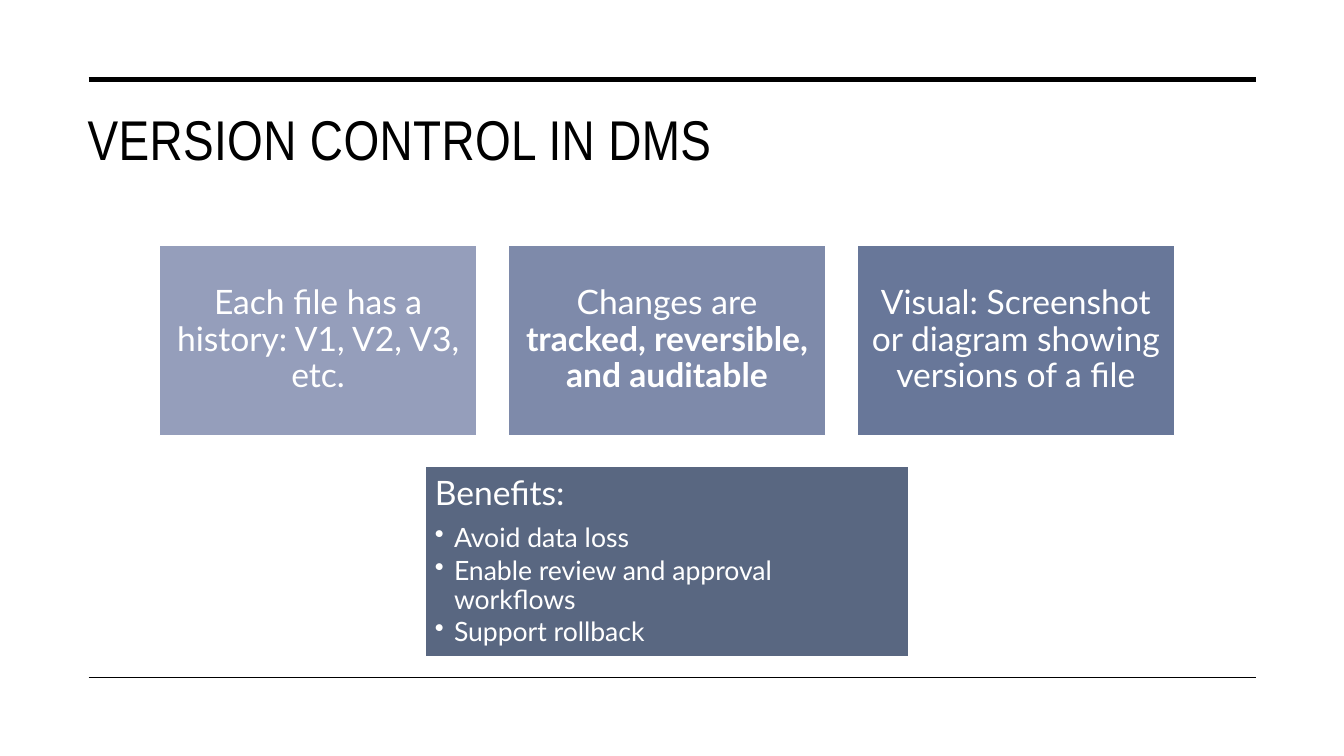
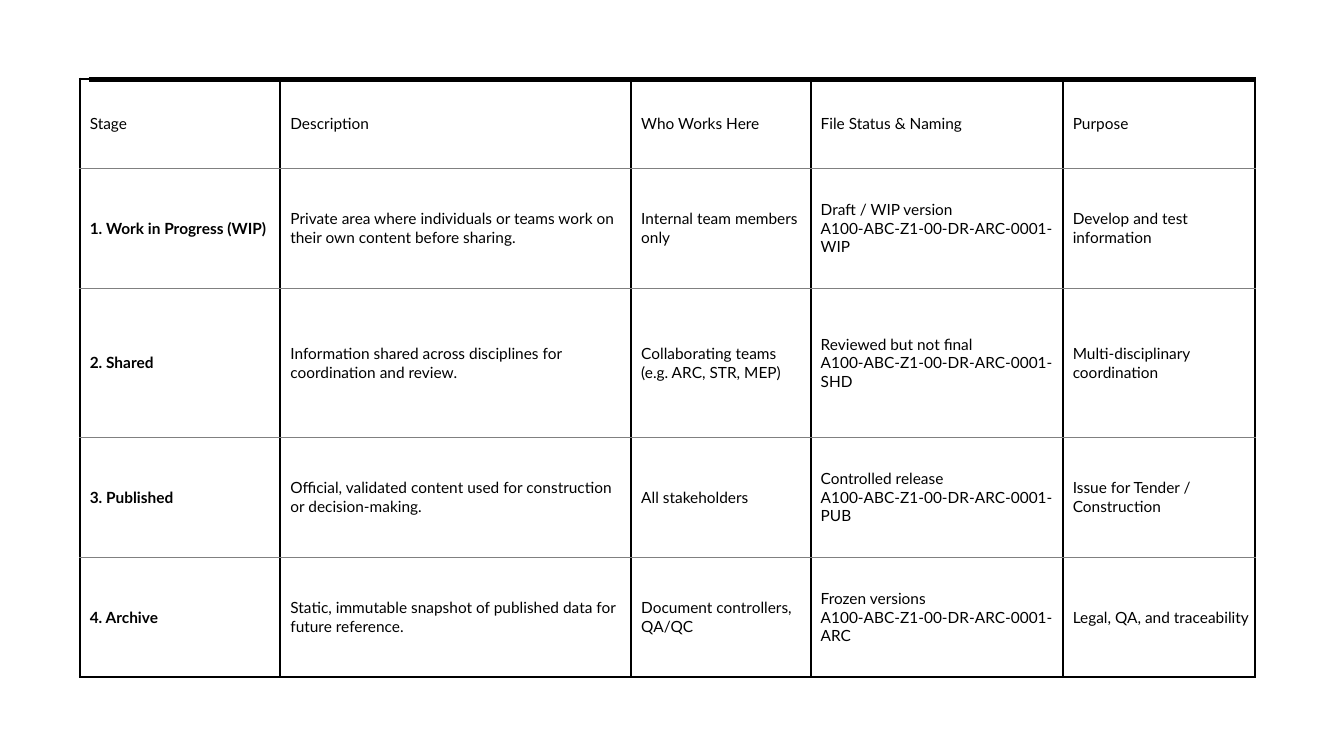
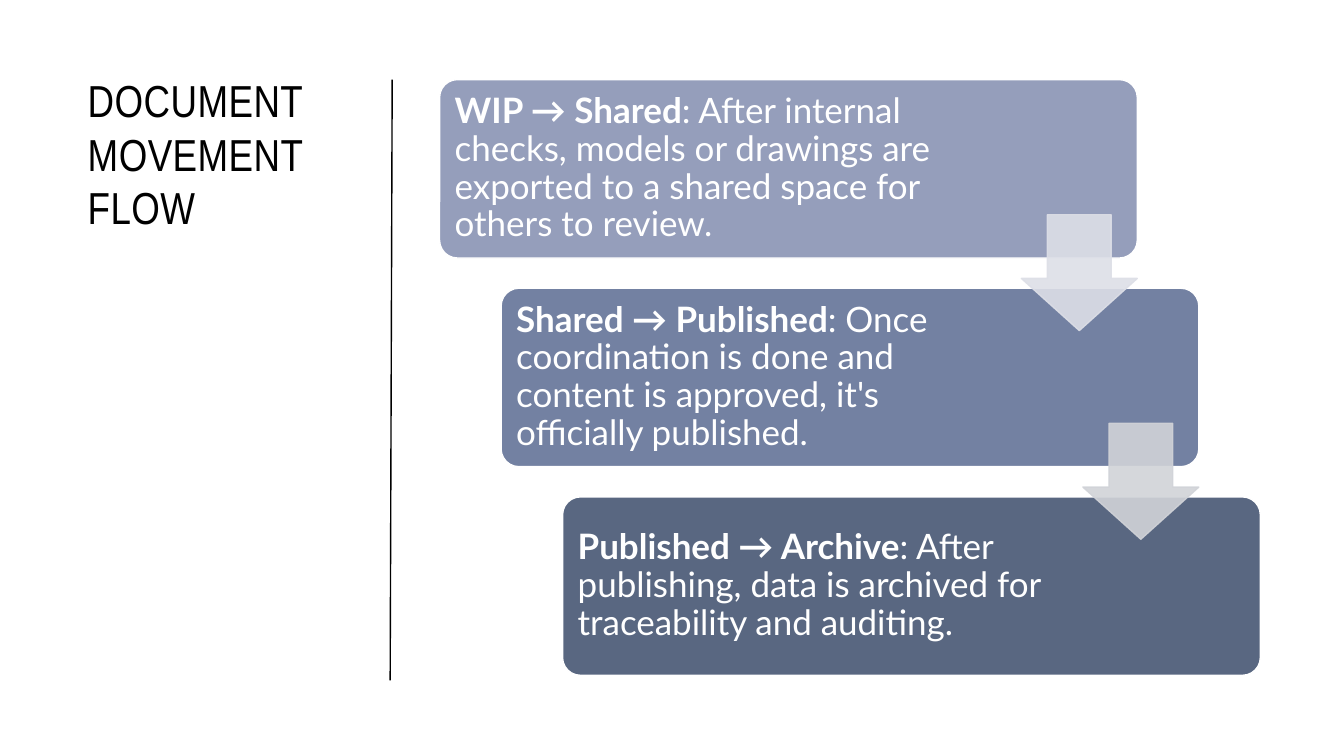
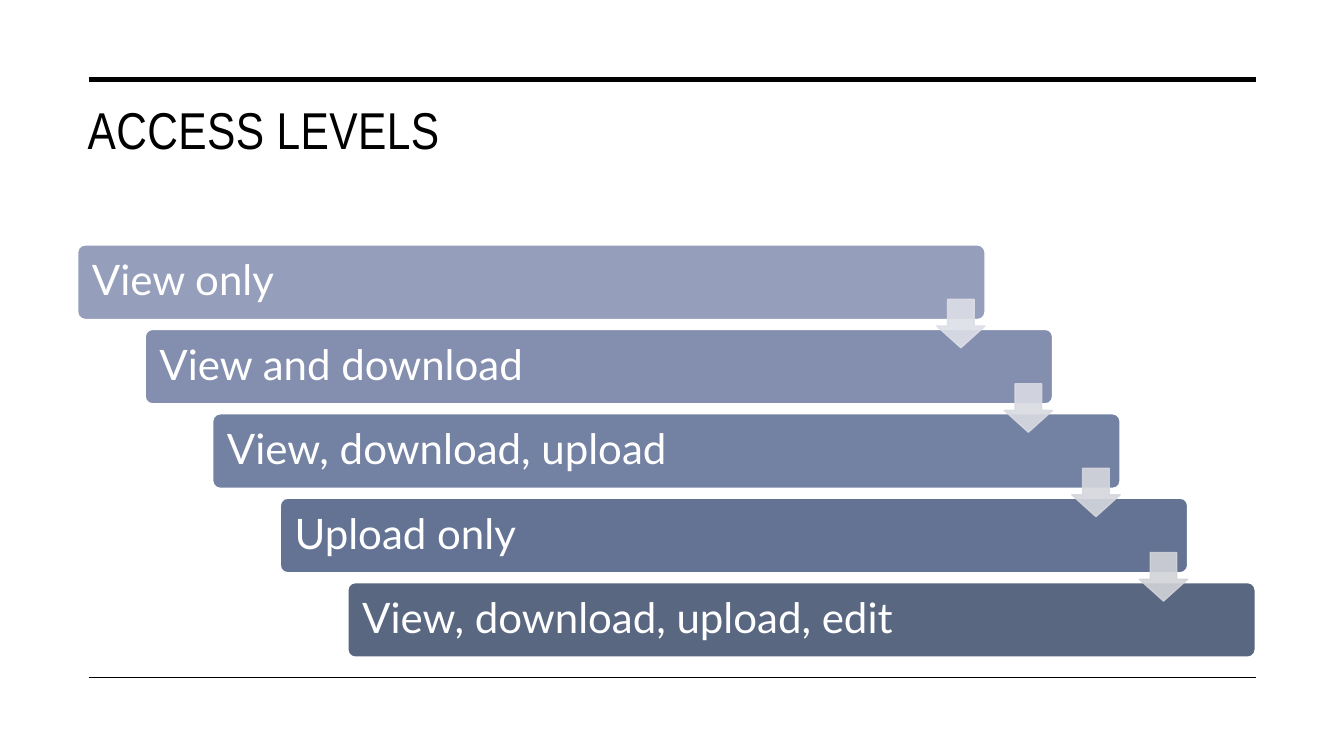
from lxml import etree
from pptx import Presentation
from pptx.dml.color import RGBColor
from pptx.enum.shapes import MSO_CONNECTOR, MSO_SHAPE
from pptx.enum.text import MSO_ANCHOR, MSO_AUTO_SIZE, PP_ALIGN
from pptx.oxml.ns import qn
from pptx.util import Inches, Pt

COLORS = {
    "ink": "000000",
    "paper": "FFFFFF",
    "rule": "808080",
    "mist": "959EBB",
    "haze": "848FAF",
    "steel": "7E8AAA",
    "blue": "7381A2",
    "slate": "687799",
    "denim": "647394",
    "deep": "596781",
    "arrow1": "DDDFE7",
    "arrow2": "D9DBE2",
    "arrow3": "D5D7DD",
    "arrow4": "D1D3D8",
}
TITLE_FONT = "Arial Narrow"
BODY_FONT = "Lato"
LEFT, RIGHT, TOP, BOTTOM = 0.88, 12.46, 0.79, 6.72
TITLE_BOX = (0.77, 0.99, 11.69, 1.26)
TITLE_ONLY, BLANK = 5, 6

STAGES = [
    ["Stage", "Description", "Who Works Here", "File Status & Naming", "Purpose"],
    ["1. Work in Progress (WIP)",
     "Private area where individuals or teams work on their own content before sharing.",
     "Internal team members only",
     "Draft / WIP version\nA100-ABC-Z1-00-DR-ARC-0001-WIP",
     "Develop and test information"],
    ["2. Shared",
     "Information shared across disciplines for coordination and review.",
     "Collaborating teams (e.g. ARC, STR, MEP)",
     "Reviewed but not final\nA100-ABC-Z1-00-DR-ARC-0001-SHD",
     "Multi-disciplinary coordination"],
    ["3. Published",
     "Official, validated content used for construction or decision-making.",
     "All stakeholders",
     "Controlled release\nA100-ABC-Z1-00-DR-ARC-0001-PUB",
     "Issue for Tender / Construction"],
    ["4. Archive",
     "Static, immutable snapshot of published data for future reference.",
     "Document controllers, QA/QC",
     "Frozen versions\nA100-ABC-Z1-00-DR-ARC-0001-ARC",
     "Legal, QA, and traceability"],
]


def rgb(name):
    return RGBColor.from_string(COLORS[name])


def inches(*values):
    return [Inches(v) for v in values]


def set_font(p, size, color, name=BODY_FONT):
    p.font.name = name
    p.font.size = Pt(size)
    p.font.color.rgb = rgb(color)


def add_line(s, x1, y1, x2, y2, width):
    line = s.shapes.add_connector(MSO_CONNECTOR.STRAIGHT, *inches(x1, y1, x2, y2))
    line.line.color.rgb = rgb("ink")
    line.line.width = Pt(width)
    etree.SubElement(line._element.spPr, qn("a:effectLst"))


def add_rules(s):
    add_line(s, LEFT, TOP, RIGHT, TOP, 3.5)
    add_line(s, LEFT, BOTTOM, RIGHT, BOTTOM, 1)


def set_title(s, text, size, box=TITLE_BOX, spacing=1.0):
    title = s.shapes.title
    title.left, title.top, title.width, title.height = inches(*box)
    tf = title.text_frame
    tf.word_wrap = True
    tf.auto_size = MSO_AUTO_SIZE.NONE
    tf.vertical_anchor = MSO_ANCHOR.TOP
    p = tf.paragraphs[0]
    p.alignment = PP_ALIGN.LEFT
    p.line_spacing = spacing
    set_font(p, size, "ink", TITLE_FONT)
    r = p.add_run()
    r.text = text
    r._r.get_or_add_rPr().set("spc", "30")


def add_shape(s, kind, box, fill, line, adjustments=()):
    sp = s.shapes.add_shape(kind, *inches(*box))
    sp.shadow.inherit = False
    sp.fill.solid()
    sp.fill.fore_color.rgb = rgb(fill)
    sp.line.color.rgb = rgb(line)
    sp.line.width = Pt(1)
    for i, value in enumerate(adjustments):
        sp.adjustments[i] = value
    return sp


def write_runs(p, runs, size, align=PP_ALIGN.LEFT, after=0):
    p.alignment = align
    p.line_spacing = 0.9
    p.space_after = Pt(after)
    set_font(p, size, "paper")
    for text, bold in runs:
        r = p.add_run()
        r.text = text
        r.font.bold = bold


def add_card(s, kind, box, fill, inset, right=None, adjustments=()):
    sp = add_shape(s, kind, box, fill, "paper", adjustments)
    tf = sp.text_frame
    tf.word_wrap = True
    tf.vertical_anchor = MSO_ANCHOR.MIDDLE
    tf.margin_left = tf.margin_top = tf.margin_bottom = Inches(inset)
    tf.margin_right = Inches(right or inset)
    return tf


def add_bullet(p):
    pPr = p._p.get_or_add_pPr()
    pPr.set("marL", str(Inches(0.19)))
    pPr.set("indent", str(-Inches(0.19)))
    bullet = etree.Element(qn("a:buChar"), char="•")
    defaults = pPr.find(qn("a:defRPr"))
    defaults.addprevious(bullet)


def add_arrow(s, x, y, size, color):
    sp = add_shape(s, MSO_SHAPE.DOWN_ARROW, (x, y, size, size), color, color, (0.55, 0.45))
    for clr in sp._element.spPr.iter(qn("a:srgbClr")):
        etree.SubElement(clr, qn("a:alpha"), val="90000")


def add_staircase(s, area, card, steps, arrows, size, inset, right, arrow_size, drop):
    x, y, width, height = area
    card_w, card_h = card
    dx = (width - card_w) / (len(steps) - 1)
    dy = (height - card_h) / (len(steps) - 1)
    for i, (runs, fill) in enumerate(steps):
        box = (x + i * dx, y + i * dy, card_w, card_h)
        tf = add_card(s, MSO_SHAPE.ROUNDED_RECTANGLE, box, fill, inset, right, (0.1,))
        write_runs(tf.paragraphs[0], runs, size)
    for i, color in enumerate(arrows):
        add_arrow(s, x + i * dx + card_w - arrow_size, y + i * dy + drop, arrow_size, color)


def set_borders(cell, first, last):
    outer, inner = ("ink", 1.5), ("rule", 0.5)
    edges = {"lnL": outer, "lnR": outer,
             "lnT": outer if first else inner,
             "lnB": outer if last else inner}
    tcPr = cell._tc.get_or_add_tcPr()
    for i, (tag, (color, width)) in enumerate(edges.items()):
        ln = etree.Element(qn("a:" + tag), w=str(Pt(width)))
        fill = etree.SubElement(ln, qn("a:solidFill"))
        etree.SubElement(fill, qn("a:srgbClr"), val=COLORS[color])
        tcPr.insert(i, ln)


def add_grid(s, x, y, cols, rows, data):
    frame = s.shapes.add_table(len(rows), len(cols), *inches(x, y, sum(cols), sum(rows)))
    table = frame.table
    table.first_row = table.horz_banding = False
    for col, width in zip(table.columns, cols):
        col.width = Inches(width)
    for i, (row, height) in enumerate(zip(table.rows, rows)):
        row.height = Inches(height)
        for j, text in enumerate(data[i]):
            cell = table.cell(i, j)
            cell.fill.background()
            cell.vertical_anchor = MSO_ANCHOR.MIDDLE
            cell.margin_left, cell.margin_right = inches(0.1, 0.03)
            cell.margin_top = cell.margin_bottom = Inches(0.08)
            set_borders(cell, i == 0, i == len(rows) - 1)
            p = cell.text_frame.paragraphs[0]
            p.text = text
            set_font(p, 11, "ink")
            p.font.bold = i > 0 and j == 0


def version_slide(s):
    set_title(s, "VERSION CONTROL IN DMS", 40)
    add_rules(s)
    x, y, width, height, gap = 1.58, 2.43, 3.15, 1.89, 0.31
    cards = [
        ([("Each file has a history: V1, V2, V3, etc.", False)], "mist"),
        ([("Changes are ", False), ("tracked, reversible, and auditable", True)], "steel"),
        ([("Visual: Screenshot or diagram showing versions of a file", False)], "slate"),
    ]
    for i, (runs, fill) in enumerate(cards):
        box = (x + i * (width + gap), y, width, height)
        tf = add_card(s, MSO_SHAPE.RECTANGLE, box, fill, 0.1)
        write_runs(tf.paragraphs[0], runs, 24, PP_ALIGN.CENTER)

    benefits_w = 4.8
    center = x + (3 * width + 2 * gap) / 2
    box = (center - benefits_w / 2, y + height + gap, benefits_w, height)
    tf = add_card(s, MSO_SHAPE.RECTANGLE, box, "deep", 0.1)
    tf.vertical_anchor = MSO_ANCHOR.TOP
    write_runs(tf.paragraphs[0], [("Benefits:", False)], 24, after=8.4)
    for text in ("Avoid data loss", "Enable review and approval workflows", "Support rollback"):
        p = tf.add_paragraph()
        write_runs(p, [(text, False)], 19, after=2.8)
        add_bullet(p)


def stages_slide(s):
    add_rules(s)
    add_grid(s, 0.79, 0.78, [1.99, 3.48, 1.78, 2.5, 1.91],
             [0.89, 1.19, 1.48, 1.19, 1.19], STAGES)


def flow_slide(s):
    set_title(s, "DOCUMENT MOVEMENT FLOW", 32, (0.77, 0.67, 2.76, 4.91))
    add_line(s, 3.87, 6.75, 3.89, TOP, 1)
    moves = [
        ("WIP → Shared", ": After internal checks, models or drawings are exported "
         "to a shared space for others to review.", "mist"),
        ("Shared → Published", ": Once coordination is done and content is approved, "
         "it's officially published.", "blue"),
        ("Published → Archive", ": After publishing, data is archived for "
         "traceability and auditing.", "deep"),
    ]
    steps = [([(move, True), (detail, False)], fill) for move, detail, fill in moves]
    add_staircase(s, (4.36, TOP, 8.14, 5.91), (6.92, 1.77), steps, ["arrow1", "arrow4"],
                  size=25, inset=0.1, right=1.88, arrow_size=1.15, drop=1.34)


def access_slide(s):
    add_rules(s)
    set_title(s, "ACCESS LEVELS", 37, spacing=0.9)
    levels = [
        ("View only", "mist"),
        ("View and download", "haze"),
        ("View, download, upload", "blue"),
        ("Upload only", "denim"),
        ("View, download, upload, edit", "deep"),
    ]
    steps = [([(text, False)], fill) for text, fill in levels]
    add_staircase(s, (0.77, 2.43, 11.68, 4.09), (9, 0.74), steps,
                  ["arrow1", "arrow2", "arrow3", "arrow4"],
                  size=30, inset=0.12, right=1.2, arrow_size=0.48, drop=0.54)


def main():
    prs = Presentation()
    prs.slide_width, prs.slide_height = inches(13.33, 7.5)
    slides = [(version_slide, TITLE_ONLY), (stages_slide, BLANK),
              (flow_slide, TITLE_ONLY), (access_slide, TITLE_ONLY)]
    for build, layout in slides:
        build(prs.slides.add_slide(prs.slide_layouts[layout]))
    prs.save("out.pptx")


if __name__ == "__main__":
    main()
